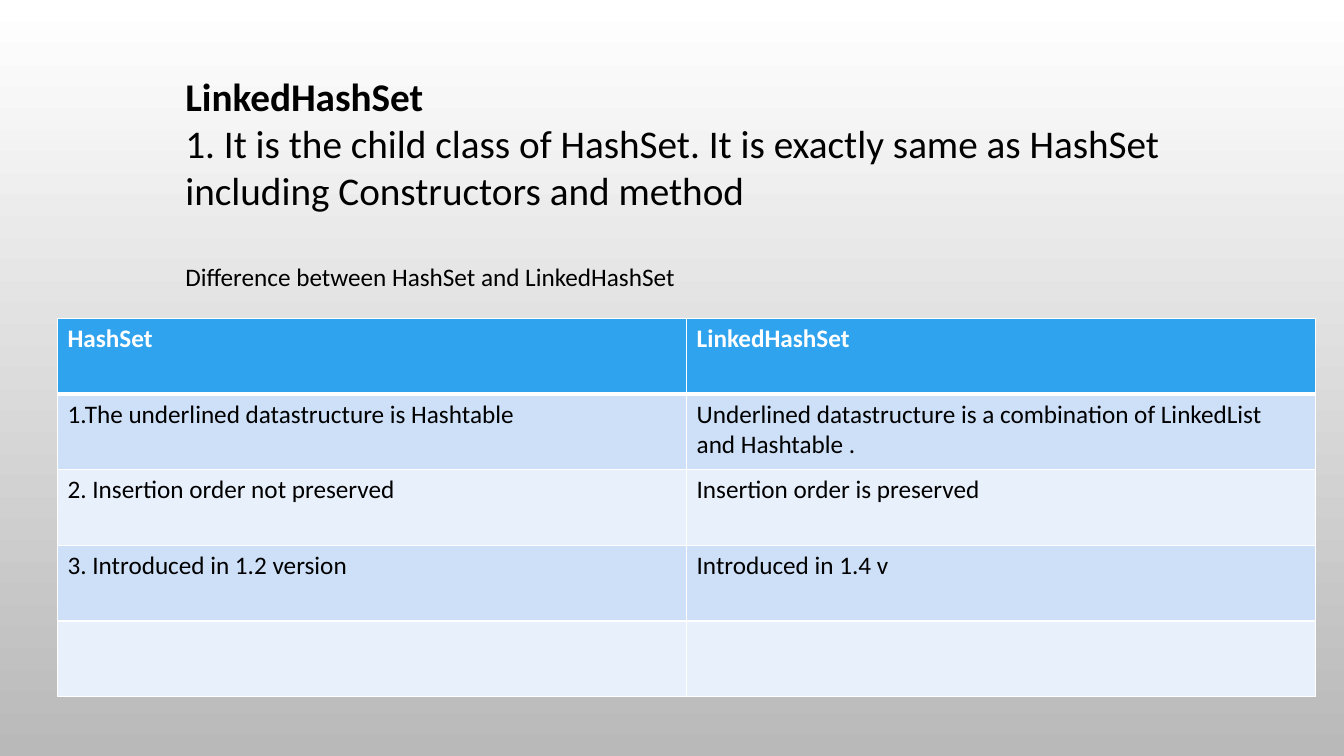
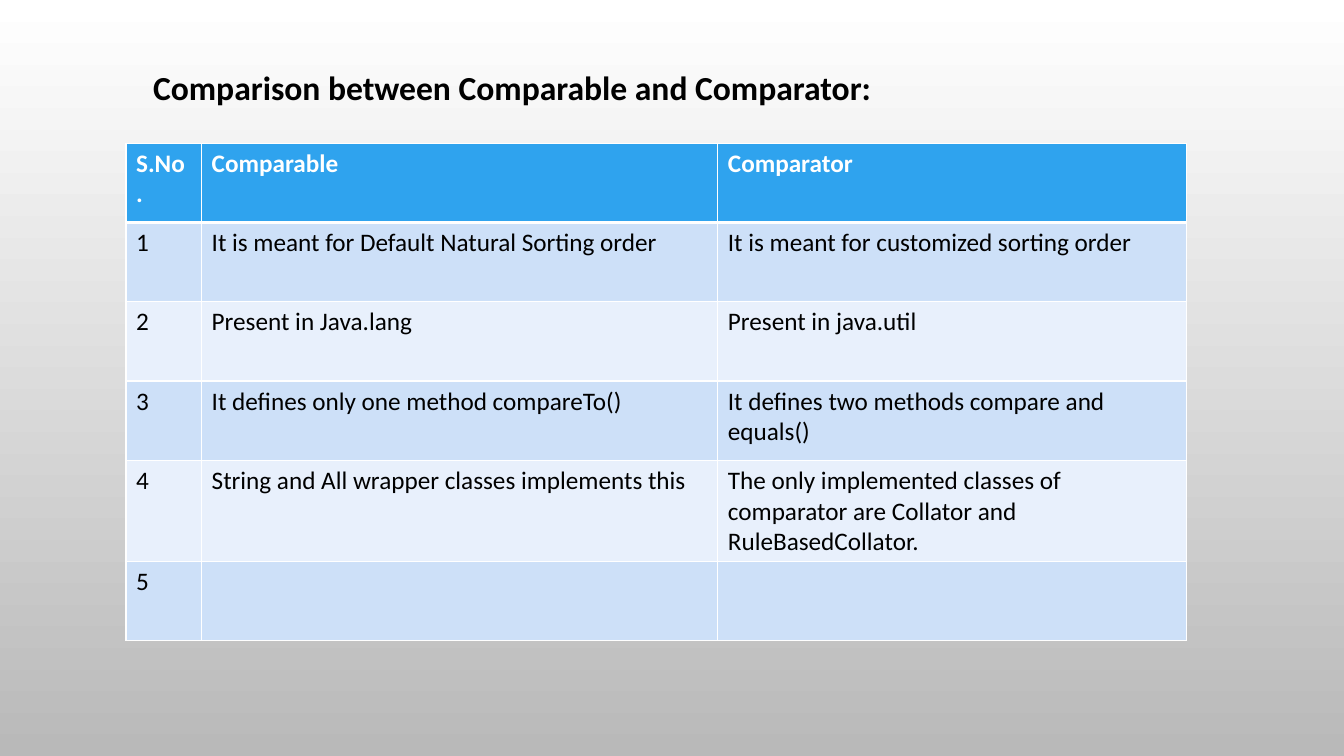
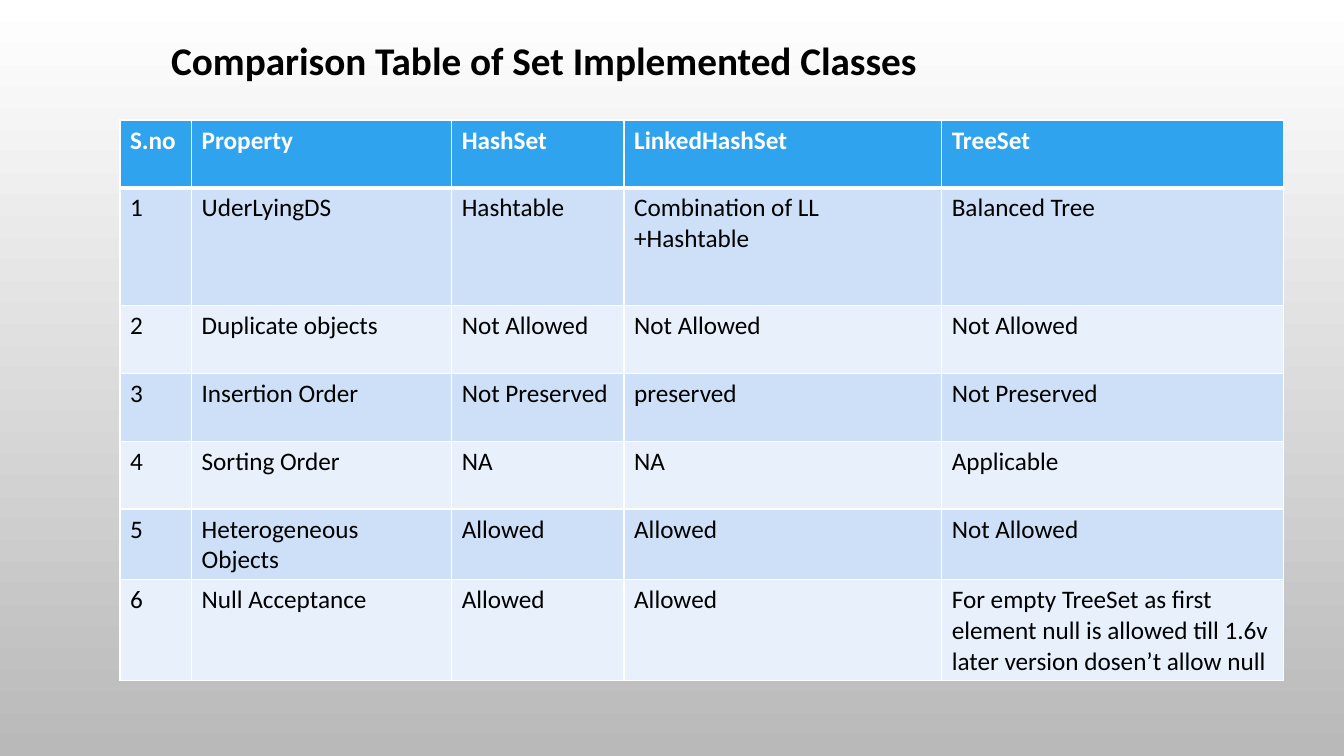
from dataclasses import dataclass, field

from lxml import etree
from pptx import Presentation
from pptx.dml.color import RGBColor
from pptx.enum.text import MSO_ANCHOR
from pptx.oxml.ns import qn
from pptx.util import Pt

TOP = MSO_ANCHOR.TOP
PX = 9144  # EMU in one px, 100 px to the inch
WIDE, HIGH = 1333, 750


@dataclass(frozen=True)
class Theme:
    font: str = "Calibri"
    ink: str = "000000"
    white: str = "FFFFFF"
    fade: str = "B9B9B9"
    head: str = "2FA3EE"
    bands: tuple = ("CDE0F8", "E8F0FC")
    big: int = 28
    mid: int = 24
    body: int = 18
    thin: int = 1
    thick: int = 3


THEME = Theme()


@dataclass(frozen=True)
class Line:
    text: str
    size: int
    bold: bool = False
    gap: int = 0  # points above


@dataclass(frozen=True)
class Grid:
    left: int
    top: int
    high: int
    cols: tuple
    rows: tuple
    extra: dict = field(default_factory=dict)  # added px by row number


@dataclass(frozen=True)
class Page:
    box: tuple
    lines: tuple
    grid: Grid


PAGES = (
    Page(
        (174, 67, 1071, 259),
        (
            Line("LinkedHashSet", THEME.big, True),
            Line("1. It is the child class of HashSet. It is exactly same as HashSet "
                 "including Constructors and method", THEME.big),
            Line("Difference between HashSet and LinkedHashSet", THEME.body, gap=34),
        ),
        Grid(57, 316, 375, (624, 624), (
            ("HashSet", "LinkedHashSet"),
            ("1.The underlined datastructure is Hashtable",
             "Underlined datastructure is a combination of LinkedList and Hashtable ."),
            ("2. Insertion order not preserved", "Insertion order is preserved"),
            ("3. Introduced in 1.2 version", "Introduced in 1.4 v"),
            ("", ""),
        )),
    ),
    Page(
        (142, 61, 1120, 81),
        (Line("Comparison between Comparable and Comparator:", THEME.mid, True),),
        Grid(125, 142, 472, (75, 512, 465), (
            ("S.No.", "Comparable", "Comparator"),
            ("1", "It is meant for Default Natural Sorting order",
             "It is meant for customized sorting order"),
            ("2", "Present in Java.lang", "Present in java.util"),
            ("3", "It defines only one method compareTo()",
             "It defines two methods compare and equals()"),
            ("4", "String and All wrapper classes implements this",
             "The only implemented classes of comparator are Collator and "
             "RuleBasedCollator."),
            ("5", "", ""),
        )),
    ),
    Page(
        (160, 31, 1130, 118),
        (Line("Comparison Table of Set Implemented Classes", THEME.big, True),),
        Grid(119, 119, 521, (71, 258, 171, 315, 339), (
            ("S.no", "Property", "HashSet", "LinkedHashSet", "TreeSet"),
            ("1", "UderLyingDS", "Hashtable", "Combination of LL +Hashtable",
             "Balanced Tree"),
            ("2", "Duplicate objects", "Not Allowed", "Not Allowed", "Not Allowed"),
            ("3", "Insertion Order", "Not Preserved", "preserved", "Not Preserved"),
            ("4", "Sorting Order", "NA", "NA", "Applicable"),
            ("5", "Heterogeneous Objects", "Allowed", "Allowed", "Not Allowed"),
            ("6", "Null Acceptance", "Allowed", "Allowed",
             "For empty TreeSet as first element null is allowed till 1.6v "
             "later version dosen’t allow null"),
        ), {1: 49}),
    ),
)


def style(para, size: int, bold: bool, ink: str) -> None:
    for run in para.runs:
        run.font.name = THEME.font
        run.font.size = Pt(size)
        run.font.bold = bold
        run.font.color.rgb = RGBColor.from_string(ink)


def paint(master) -> None:
    """Give the master the shared top-to-bottom gradient."""
    fill = master.background.fill
    fill.gradient()
    fill.gradient_angle = 270
    for stop, tone in zip(fill.gradient_stops, (THEME.white, THEME.fade)):
        stop.color.rgb = RGBColor.from_string(tone)


def write(slide, box: tuple, lines: tuple) -> None:
    frame = slide.shapes.add_textbox(*(n * PX for n in box)).text_frame
    frame.word_wrap = True
    frame.vertical_anchor = TOP
    frame.text = "\n".join(line.text for line in lines)
    for para, line in zip(frame.paragraphs, lines):
        para.space_before = Pt(line.gap)
        style(para, line.size, line.bold, THEME.ink)


def edge(cell, row: int) -> None:
    """Draw white borders, with a thick rule under the header."""
    props = cell._tc.get_or_add_tcPr()
    thick = {0: "lnB", 1: "lnT"}.get(row)
    for spot, side in enumerate(("lnL", "lnR", "lnT", "lnB")):
        width = THEME.thick if side == thick else THEME.thin
        rule = etree.Element(qn(f"a:{side}"), w=str(Pt(width)))
        solid = etree.SubElement(rule, qn("a:solidFill"))
        etree.SubElement(solid, qn("a:srgbClr"), val=THEME.white)
        props.insert(spot, rule)


def tabulate(slide, grid: Grid) -> None:
    count = len(grid.rows)
    table = slide.shapes.add_table(
        count, len(grid.cols), grid.left * PX, grid.top * PX,
        sum(grid.cols) * PX, grid.high * PX).table
    for col, width in zip(table.columns, grid.cols):
        col.width = width * PX
    # Equal rows share what the taller ones leave
    each = (grid.high - sum(grid.extra.values())) * PX // count
    for r, texts in enumerate(grid.rows):
        table.rows[r].height = each + grid.extra.get(r, 0) * PX
        head = r == 0
        tone = THEME.head if head else THEME.bands[(r - 1) % 2]
        for c, text in enumerate(texts):
            cell = table.cell(r, c)
            cell.text_frame.text = text
            style(cell.text_frame.paragraphs[0], THEME.body, head,
                  THEME.white if head else THEME.ink)
            cell.fill.solid()
            cell.fill.fore_color.rgb = RGBColor.from_string(tone)
            edge(cell, r)


def main() -> None:
    deck = Presentation()
    deck.slide_width, deck.slide_height = WIDE * PX, HIGH * PX
    paint(deck.slide_master)
    for page in PAGES:
        slide = deck.slides.add_slide(deck.slide_layouts[6])
        write(slide, page.box, page.lines)
        tabulate(slide, page.grid)
    deck.save("out.pptx")


if __name__ == "__main__":
    main()
